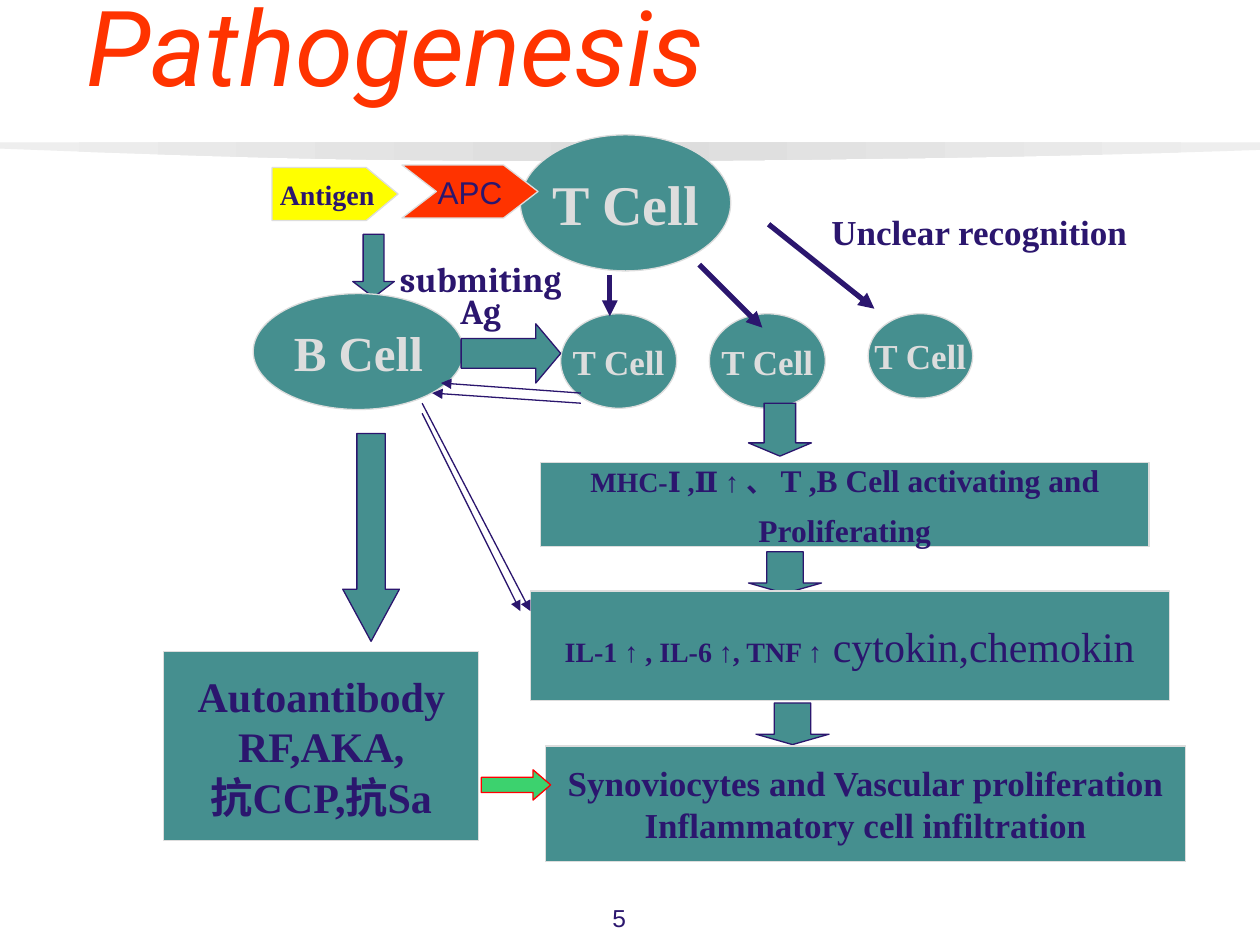
from copy import deepcopy

from lxml.etree import SubElement
from pptx import Presentation
from pptx.dml.color import RGBColor
from pptx.enum.shapes import MSO_CONNECTOR, MSO_SHAPE
from pptx.enum.text import MSO_ANCHOR, MSO_AUTO_SIZE, PP_ALIGN
from pptx.oxml.ns import qn
from pptx.util import Inches, Pt

COLORS = {
    "teal": "458F8F", "navy": "2B166E", "pale": "DDDDDD", "mist": "EEEEEE",
    "yellow": "FFFF00", "orange": "FF3300", "green": "3CD26E", "red": "FF0000",
}
SLIDE_WIDTH, SLIDE_HEIGHT = Inches(10), Inches(7.5)
COLUMNS, ROWS = 100, 75
SERIF = "Times New Roman"


def color(name):
    return RGBColor.from_string(COLORS[name])


def across(columns):
    return round(SLIDE_WIDTH * columns / COLUMNS)


def down(rows):
    return round(SLIDE_HEIGHT * rows / ROWS)


def grid_box(left, top, width, height):
    return across(left), down(top), across(width), down(height)


def format_run(run, size, ink="navy", name=SERIF, bold=True):
    run.font.size = Pt(size)
    run.font.name = name
    run.font.bold = bold
    run.font.color.rgb = color(ink)


def write(shape, text, size, ink="navy", name=SERIF, bold=True, align=PP_ALIGN.CENTER):
    shape.text_frame.text = text
    for paragraph in shape.text_frame.paragraphs:
        paragraph.alignment = align
        for run in paragraph.runs:
            format_run(run, size, ink, name, bold)


def add_block(slide, kind, box, fill="teal", line="pale", adjustments=()):
    shape = slide.shapes.add_shape(kind, *grid_box(*box))
    shape.shadow.inherit = False
    shape.fill.solid()
    shape.fill.fore_color.rgb = color(fill)
    shape.line.color.rgb = color(line)
    shape.line.width = Pt(0.75)
    for index, value in enumerate(adjustments):
        shape.adjustments[index] = value
    shape.text_frame.word_wrap = False
    shape.text_frame.vertical_anchor = MSO_ANCHOR.MIDDLE
    return shape


def add_cell(slide, box, text, size):
    write(add_block(slide, MSO_SHAPE.OVAL, box), text, size, "pale")


def add_panel(slide, box, text, size):
    shape = add_block(slide, MSO_SHAPE.RECTANGLE, box)
    write(shape, text, size)
    return shape


def add_down_arrow(slide, box, head=0.25):
    add_block(slide, MSO_SHAPE.DOWN_ARROW, box, line="navy", adjustments=(0.5, head))


def add_label(slide, box, text, size, wrap=True, **style):
    label = slide.shapes.add_textbox(*grid_box(*box))
    label.text_frame.word_wrap = wrap
    write(label, text, size, **style)
    return label


def add_pointer(slide, start, end, width):
    connector = slide.shapes.add_connector(
        MSO_CONNECTOR.STRAIGHT,
        across(start[0]), down(start[1]), across(end[0]), down(end[1]))
    connector.line.color.rgb = color("navy")
    connector.line.width = Pt(width)
    properties = connector._element.spPr
    SubElement(properties.find(qn("a:ln")), qn("a:tailEnd"), type="triangle")
    SubElement(properties, qn("a:effectLst"))


def curve_points(start, control_1, control_2, end, steps=12):
    for step in range(1, steps + 1):
        t = step / steps
        weights = ((1 - t) ** 3, 3 * t * (1 - t) ** 2, 3 * t * t * (1 - t), t ** 3)
        corners = (start, control_1, control_2, end)
        x, y = (sum(w * p[axis] for w, p in zip(weights, corners)) for axis in (0, 1))
        yield across(x), down(y)


def add_divider(slide):
    curves = [
        ((0, 11.8), (5.3, 12), (20.4, 12.6), (31.9, 12.7)),
        ((31.9, 12.7), (43.4, 12.8), (57.6, 12.8), (68.9, 12.6)),
        ((68.9, 12.6), (80.3, 12.5), (94.9, 12.1), (100, 11.9)),
    ]
    points = [(across(0), down(11.8))]
    for curve in curves:
        points.extend(curve_points(*curve))
    points.append((across(100), down(11.3)))
    builder = slide.shapes.build_freeform(across(0), down(11.3), scale=1.0)
    builder.add_line_segments(points, close=True)
    divider = builder.convert_to_shape()
    divider.shadow.inherit = False
    divider.line.fill.background()
    divider.fill.gradient()
    divider.fill.gradient_angle = 0
    stops = divider._element.spPr.find(qn("a:gradFill")).find(qn("a:gsLst"))
    stops.append(deepcopy(stops[0]))
    for index, name in enumerate(("mist", "pale", "mist")):
        stop = divider.fill.gradient_stops[index]
        stop.position = index / 2
        stop.color.rgb = color(name)


def place_title(slide):
    title = slide.shapes.title
    title.left, title.top, title.width, title.height = grid_box(5.9, -2.7, 90, 12.5)
    title.text_frame.auto_size = MSO_AUTO_SIZE.NONE
    title.text_frame.vertical_anchor = MSO_ANCHOR.MIDDLE
    write(title, "Pathogenesis", 60, "orange", "Roboto", False, PP_ALIGN.LEFT)
    title.text_frame.paragraphs[0].runs[0].font.italic = True


def add_immune_cells(slide):
    antigen = add_block(slide, MSO_SHAPE.PENTAGON, (21.6, 13.3, 10, 4.2), "yellow",
                        adjustments=(0.6,))
    write(antigen, "Antigen", 16)
    add_cell(slide, (41.3, 10.7, 16.7, 10.8), "T Cell", 32)
    presenter = add_block(slide, MSO_SHAPE.CHEVRON, (31.9, 13.1, 10.8, 4.2), "orange",
                          adjustments=(0.65,))
    write(presenter, "APC", 18, name="Arial", bold=False)
    add_down_arrow(slide, (28, 18.6, 3.3, 5), 0.38)
    add_cell(slide, (20.1, 23.3, 16.7, 9.2), "B Cell", 28)
    for box in ((44.5, 24.9, 9.2, 7.5), (56.3, 24.9, 9.2, 7.5), (68.9, 24.9, 8.3, 6.7)):
        add_cell(slide, box, "T Cell", 20)
    add_label(slide, (65, 16.2, 25.5, 4.3), "Unclear recognition", 20, wrap=False,
              align=PP_ALIGN.LEFT)
    submission = add_label(slide, (28.7, 21.8, 18.9, 5), "submiting\nAg", 20, name="Cambria")
    for paragraph in submission.text_frame.paragraphs:
        paragraph.line_spacing = 0.35
    submission.text_frame.paragraphs[1].space_before = Pt(10)
    add_block(slide, MSO_SHAPE.RIGHT_ARROW, (36.6, 25.7, 7.9, 4.7), line="navy",
              adjustments=(0.5, 0.42))


def add_outcomes(slide):
    add_down_arrow(slide, (27.2, 34.4, 4.5, 16.5), 0.92)
    add_panel(slide, (13, 51.7, 25, 15), "Autoantibody\nRF,AKA,\n抗CCP,抗Sa", 24)
    add_down_arrow(slide, (59.4, 32, 5, 4.2))
    activation = add_panel(slide, (42.9, 36.7, 48.3, 6.7), "MHC-Ⅰ ,Ⅱ ↑ 、 \nProliferating", 18)
    first, second = activation.text_frame.paragraphs
    first.runs[0].font.size = Pt(16)
    run = first.add_run()
    run.text = "T ,B Cell activating and"
    format_run(run, 18)
    second.space_before = Pt(7)
    add_down_arrow(slide, (59.4, 43.8, 5.8, 3.3))
    cytokines = add_panel(slide, (42.1, 46.9, 50.7, 8.7), "IL-1 ↑ , IL-6 ↑, TNF ↑", 16)
    run = cytokines.text_frame.paragraphs[0].add_run()
    run.text = " cytokin,chemokin"
    format_run(run, 24, bold=False)
    add_down_arrow(slide, (60, 55.8, 5.8, 3.3))
    add_panel(slide, (43.3, 59.2, 50.8, 9.2),
              "Synoviocytes and Vascular proliferation\nInflammatory cell infiltration", 20)
    add_block(slide, MSO_SHAPE.RIGHT_ARROW, (38.2, 61.1, 5.5, 2.4), "green", "red", (0.5, 0.58))


def add_pointers(slide):
    pointers = {
        3: [((48.4, 21.8), (48.4, 25.1)), ((55.5, 21), (60.5, 26)),
            ((61, 17.8), (69.4, 24.5))],
        0.75: [((33.5, 32.8), (41.3, 48.5)), ((33.5, 32), (42.1, 48.5)),
               ((46.1, 31.2), (35, 30.4)), ((46.1, 32), (34.3, 31.2))],
    }
    for width, routes in pointers.items():
        for start, end in routes:
            add_pointer(slide, start, end, width)


def main():
    presentation = Presentation()
    presentation.slide_width, presentation.slide_height = SLIDE_WIDTH, SLIDE_HEIGHT
    slide = presentation.slides.add_slide(presentation.slide_layouts[5])
    add_divider(slide)
    place_title(slide)
    add_immune_cells(slide)
    add_outcomes(slide)
    add_pointers(slide)
    add_label(slide, (37.5, 71.2, 23.3, 3.4), "5", 14, name="Arial", bold=False)
    presentation.save("out.pptx")


if __name__ == "__main__":
    main()
